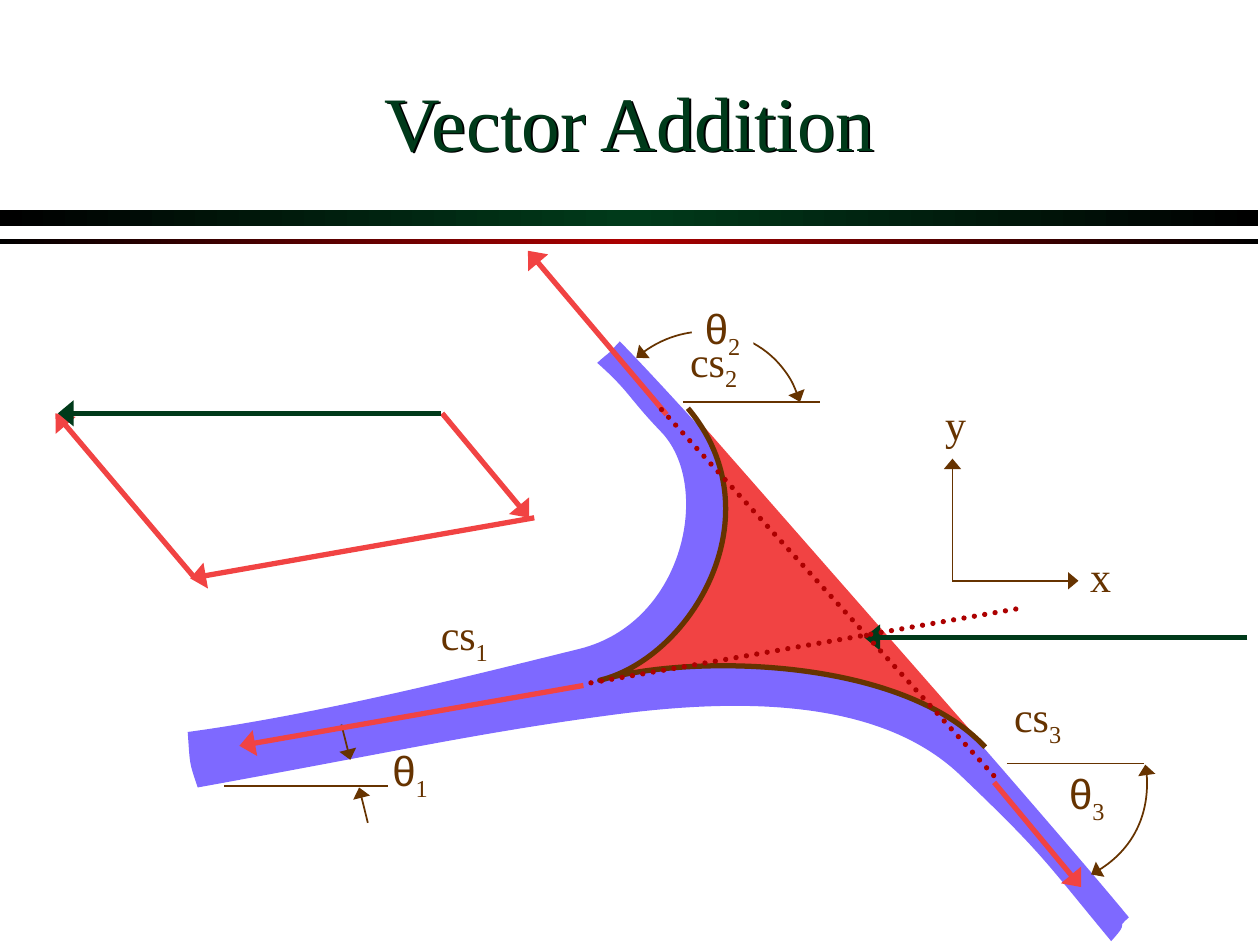
from copy import deepcopy
from lxml.etree import SubElement
from pptx import Presentation
from pptx.dml.color import RGBColor
from pptx.enum.dml import MSO_LINE
from pptx.enum.shapes import MSO_CONNECTOR, MSO_SHAPE
from pptx.enum.text import MSO_ANCHOR, MSO_AUTO_SIZE, PP_ALIGN
from pptx.oxml.ns import qn
from pptx.util import Pt

SERIF, SANS = "Times New Roman", "Arial"
GREEN, RED, MAROON = "003A1A", "F14343", "AC0000"
BROWN, WATER, BLACK, WHITE = "663300", "7E69FF", "000000", "FFFFFF"


def color(text):
    return RGBColor.from_string(text)


def style(line, hue, width, ends=()):
    """Set colour and width, and put a wide arrowhead on each named end."""
    line.color.rgb = color(hue)
    line.width = Pt(width)
    for end in ends:
        SubElement(line._get_or_add_ln(), qn("a:" + end),
                   type="triangle", w="lg", len="med")


def add_line(shapes, start, stop, hue=BROWN, width=1, arrow=True, dots=False):
    link = shapes.add_connector(
        MSO_CONNECTOR.STRAIGHT, *[Pt(n) for n in (*start, *stop)])
    style(link.line, hue, width, ("tailEnd",) if arrow else ())
    if dots:
        link.line.dash_style = MSO_LINE.ROUND_DOT
        link.line._get_or_add_ln().set("cap", "rnd")
    SubElement(link._element.spPr, qn("a:effectLst"))


def add_curve(shapes, start, bends, fill=None, hue=None, width=1,
              ends=(), close=False):
    """Chain cubic bends, each given as two controls and an end."""
    pen = shapes.build_freeform(Pt(start[0]), Pt(start[1]))
    pen.add_line_segments(
        [(Pt(x), Pt(y)) for bend in bends for x, y in bend], close=close)
    shape = pen.convert_to_shape()
    # Join each three straight steps into one cubic bend
    steps = list(shape._element.iter(qn("a:lnTo")))
    for first, *rest in zip(steps[::3], steps[1::3], steps[2::3]):
        first.tag = qn("a:cubicBezTo")
        for step in rest:
            first.append(step[0])
            step.getparent().remove(step)
    shape.shadow.inherit = False
    if fill:
        shape.fill.solid()
        shape.fill.fore_color.rgb = color(fill)
    else:
        shape.fill.background()
    if hue:
        style(shape.line, hue, width, ends)
    else:
        shape.line.fill.background()


def add_run(para, text, face, size, hue, sub=False):
    run = para.add_run()
    run.text = text
    run.font.name = face
    run.font.size = Pt(size)
    run.font.color.rgb = color(hue)
    if sub:
        run._r.get_or_add_rPr().set("baseline", "-25000")


def add_label(shapes, left, top, wide, text, sub="", face=SERIF, fill=None):
    box = shapes.add_textbox(Pt(left), Pt(top), Pt(wide), Pt(36))
    if fill:
        box.fill.solid()
        box.fill.fore_color.rgb = color(fill)
    frame = box.text_frame
    frame.word_wrap = False
    frame.auto_size = MSO_AUTO_SIZE.SHAPE_TO_FIT_TEXT
    frame.vertical_anchor = MSO_ANCHOR.MIDDLE
    para = frame.paragraphs[0]
    para.alignment = PP_ALIGN.CENTER
    add_run(para, text, face, 24, BROWN)
    if sub:
        add_run(para, sub, SERIF, 24, BROWN, sub=True)


def add_bar(shapes, top, high, hue):
    """Full-width rule, black at both ends and coloured in the middle."""
    bar = shapes.add_shape(MSO_SHAPE.RECTANGLE, 0, Pt(top), Pt(719), Pt(high))
    bar.shadow.inherit = False
    bar.line.fill.background()
    bar.fill.gradient()
    bar.fill.gradient_angle = 0
    stops = next(bar._element.iter(qn("a:gsLst")))
    stops.append(deepcopy(stops[0]))
    for stop, place, tint in zip(
            bar.fill.gradient_stops, (0, 0.5, 1), (BLACK, hue, BLACK)):
        stop.position = place
        stop.color.rgb = color(tint)


def set_title(title, text):
    title.left, title.top, title.width, title.height = (
        Pt(54), Pt(23.8), Pt(612), Pt(90))
    title.text_frame.vertical_anchor = MSO_ANCHOR.MIDDLE
    para = title.text_frame.paragraphs[0]
    para.alignment = PP_ALIGN.CENTER
    add_run(para, text, SERIF, 44, GREEN)
    # An unfilled box casts its shadow from the letters
    glow = SubElement(title._element.spPr, qn("a:effectLst"))
    shade = SubElement(glow, qn("a:outerShdw"), dist="17961", dir="2700000")
    SubElement(shade, qn("a:srgbClr"), val=BLACK)


def add_axes(shapes):
    axes = shapes.add_group_shape().shapes
    for tip in ((544.3, 262.1), (616.3, 331.9)):
        add_line(axes, (544.3, 331.9), tip)
    add_label(axes, 615.6, 311, 26.6, "x")
    add_label(axes, 532.8, 223.9, 26.6, "y")


def main():
    deck = Presentation()
    deck.slide_width, deck.slide_height = Pt(720), Pt(540)
    slide = deck.slides.add_slide(deck.slide_layouts[5])
    shapes = slide.shapes
    add_bar(shapes, 120, 9, GREEN)
    add_bar(shapes, 136.8, 2.9, MAROON)
    set_title(shapes.title, "Vector Addition")

    # Vector polygon
    for start, stop, hue in (
            ((305.3, 295.9), (108.7, 330.5), RED),
            ((110.9, 329.8), (31.7, 236.2), RED),
            ((252.7, 236.2), (302.4, 295.9), RED),
            ((252, 236.2), (33.1, 236.2), GREEN)):
        add_line(shapes, start, stop, hue, 3)

    # Water jet and the vane that splits it
    add_curve(shapes, (107.3, 418.3), (
        ((182.2, 408.2), (270, 385.9), (331.2, 370.8)),
        ((391.7, 355.7), (406.8, 277.2), (378, 247)),
        ((358.6, 226.8), (360, 223.9), (341.3, 207.4)),
        ((349.2, 200.2), (344.9, 205.2), (354.2, 195.1)),
        ((405.4, 247), (598.3, 467.3), (645.1, 524.2)),
        ((635.8, 532.8), (647.3, 524.2), (635, 537.8)),
        ((596.2, 491), (596.2, 488.2), (548.6, 442.8)),
        ((501.8, 398.2), (419.8, 398.9), (346.3, 409)),
        ((272.2, 419), (224.6, 429.8), (113, 450)),
        ((108, 434.9), (108.7, 437.8), (107.3, 418.3))), fill=WATER, close=True)
    add_curve(shapes, (393.1, 233.3), (
        ((444.2, 293.8), (395.3, 375.8), (342.7, 388.8)),
        ((393.8, 373.7), (514.8, 375.1), (563, 427))),
        fill=RED, hue=BROWN, width=3)

    # Angle arcs and their level lines
    both = ("headEnd", "tailEnd")
    add_curve(shapes, (363.6, 204.5), (
        ((365, 203.8), (366.5, 202.3), (367.2, 201.6)),
        ((393.1, 182.2), (429.1, 186.5), (447.8, 211)),
        ((452.2, 216.7), (455, 223.2), (457.2, 229.7))), hue=BROWN, ends=both)
    add_curve(shapes, (654.5, 437), (
        ((655.2, 438.5), (655.2, 439.9), (655.2, 441.4)),
        ((657.4, 465.8), (645.1, 488.9), (623.5, 499.7))), hue=BROWN, ends=both)
    for left, right, level in (
            (128.2, 221.8, 449.3), (390.2, 468.7, 229.7), (575.3, 653.8, 436.3)):
        add_line(shapes, (left, level), (right, level), arrow=False)
    add_line(shapes, (195.1, 414), (200.2, 434.2))
    add_line(shapes, (210.2, 470.2), (205.2, 450))

    # Angle and section labels
    for sub, left, top, fill in (
            ("1", 216.7, 424.1, None), ("2", 395.3, 171.4, WHITE),
            ("3", 603.4, 437, WHITE)):
        add_label(shapes, left, top, 35.3, "θ", sub, SANS, fill)
    for sub, left, top in (
            ("1", 244.1, 346.3), ("2", 386.6, 190.1), ("3", 571.7, 393.1)):
        add_label(shapes, left, top, 42.5, "cs", sub)
    add_axes(shapes)

    # Forces on the jet and their lines of action
    for start, stop, hue in (
            ((568.1, 447.1), (617.8, 506.9), RED),
            ((380.9, 236.9), (301.7, 143.3), RED),
            ((333.4, 391.7), (136.8, 426.2), RED),
            ((712.8, 364.3), (493.9, 364.3), GREEN)):
        add_line(shapes, start, stop, hue, 3)
    add_line(shapes, (378, 234), (568.1, 443.5), MAROON, 3, False, dots=True)
    add_line(shapes, (337.7, 390.2), (581.8, 347.8), MAROON, 3, False, dots=True)

    deck.save("out.pptx")


if __name__ == "__main__":
    main()
